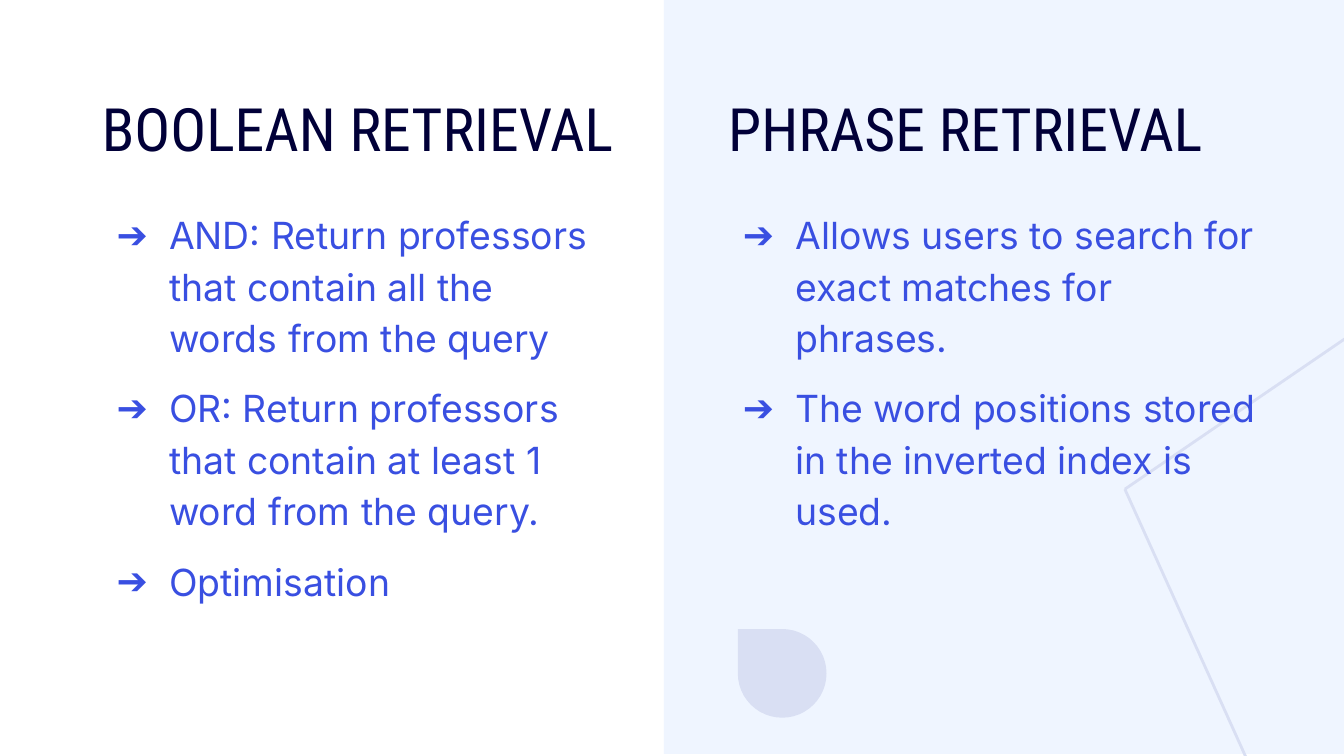
import pptx
import pptx.util
import pptx.dml.color
import pptx.enum.shapes
import pptx.oxml
import pptx.oxml.ns
from pptx.util import Inches

COLORS = {
    "panel": "EFF5FF",
    "ornament": "D9DFF3",
    "heading": "010038",
    "body": "394FE1",
}

COLUMNS = [
    (0.66, 4.07, 3.9, 3.37, "BOOLEAN RETRIEVAL", [
        "AND: Return professors that contain all the words from the query",
        "OR: Return professors that contain at least 1 word from the query.",
        "Optimisation",
    ]),
    (5.32, 4.24, 4.24, 2.7, "PHRASE RETRIEVAL", [
        "Allows users to search for exact matches for phrases.",
        "The word positions stored in the inverted index is used.",
    ]),
]


def rgb(name):
    return pptx.dml.color.RGBColor.from_string(COLORS[name])


def add_block(slide, kind, left, top, width, height, color):
    block = slide.shapes.add_shape(
        kind, Inches(left), Inches(top), Inches(width), Inches(height))
    block.shadow.inherit = False
    block.fill.solid()
    block.fill.fore_color.rgb = rgb(color)
    block.line.fill.background()
    return block


def add_line(slide, start, end):
    line = slide.shapes.add_connector(
        pptx.enum.shapes.MSO_CONNECTOR.STRAIGHT,
        Inches(start[0]), Inches(start[1]), Inches(end[0]), Inches(end[1]))
    line.line.color.rgb = rgb("ornament")
    line.line.width = pptx.util.Pt(1.5)
    properties = line._element.spPr
    properties.append(pptx.oxml.parse_xml(
        f"<a:effectLst {pptx.oxml.ns.nsdecls('a')}/>"))


def add_text_frame(slide, left, top, width, height):
    frame = slide.shapes.add_textbox(
        Inches(left), Inches(top), Inches(width), Inches(height)).text_frame
    frame.word_wrap = True
    frame.margin_left = frame.margin_right = Inches(0.1)
    frame.margin_top = frame.margin_bottom = Inches(0.1)
    return frame


def set_font(paragraph, name, size, color):
    paragraph.font.name = name
    paragraph.font.size = pptx.util.Pt(size)
    paragraph.font.color.rgb = rgb(color)


def add_arrow_bullet(paragraph):
    properties = paragraph._p.get_or_add_pPr()
    properties.set("marL", str(Inches(0.5)))
    properties.set("indent", str(Inches(-0.39)))
    namespace = pptx.oxml.ns.nsdecls("a")
    for bullet in (
        f'<a:buClr {namespace}><a:srgbClr val="{COLORS["body"]}"/></a:buClr>',
        f'<a:buFont {namespace} typeface="Inter"/>',
        f'<a:buChar {namespace} char="➔"/>',
    ):
        properties.append(pptx.oxml.parse_xml(bullet))


def add_heading(slide, left, width, text):
    heading = add_text_frame(slide, left, 0.58, width, 0.7).paragraphs[0]
    heading.text = text
    set_font(heading, "Roboto Condensed", 32, "heading")


def add_points(slide, left, width, height, points):
    frame = add_text_frame(slide, left, 1.43, width, height)
    for index, text in enumerate(points):
        point = frame.add_paragraph() if index else frame.paragraphs[0]
        point.text = text
        add_arrow_bullet(point)
        point.line_spacing = 1.15
        if index:
            point.space_before = pptx.util.Pt(10)
        set_font(point, "Inter", 20, "body")


def main():
    deck = pptx.Presentation()
    deck.slide_width = Inches(10)
    deck.slide_height = deck.slide_width * 9 // 16
    slide = deck.slides.add_slide(deck.slide_layouts[6])

    shapes = pptx.enum.shapes.MSO_SHAPE
    add_block(slide, shapes.RECTANGLE, 4.94, -0.04, 5.11, 5.65, "panel")
    drop = add_block(slide, shapes.TEAR, 5.49, 4.68, 0.66, 0.66, "ornament")
    drop.rotation = 270
    corner = (8.37, 3.64)
    add_line(slide, (10.14, 2.43), corner)
    add_line(slide, corner, (9.3, 5.7))

    for left, heading_width, body_width, body_height, heading, points in COLUMNS:
        add_heading(slide, left, heading_width, heading)
        add_points(slide, left, body_width, body_height, points)

    deck.save("out.pptx")


if __name__ == "__main__":
    main()
